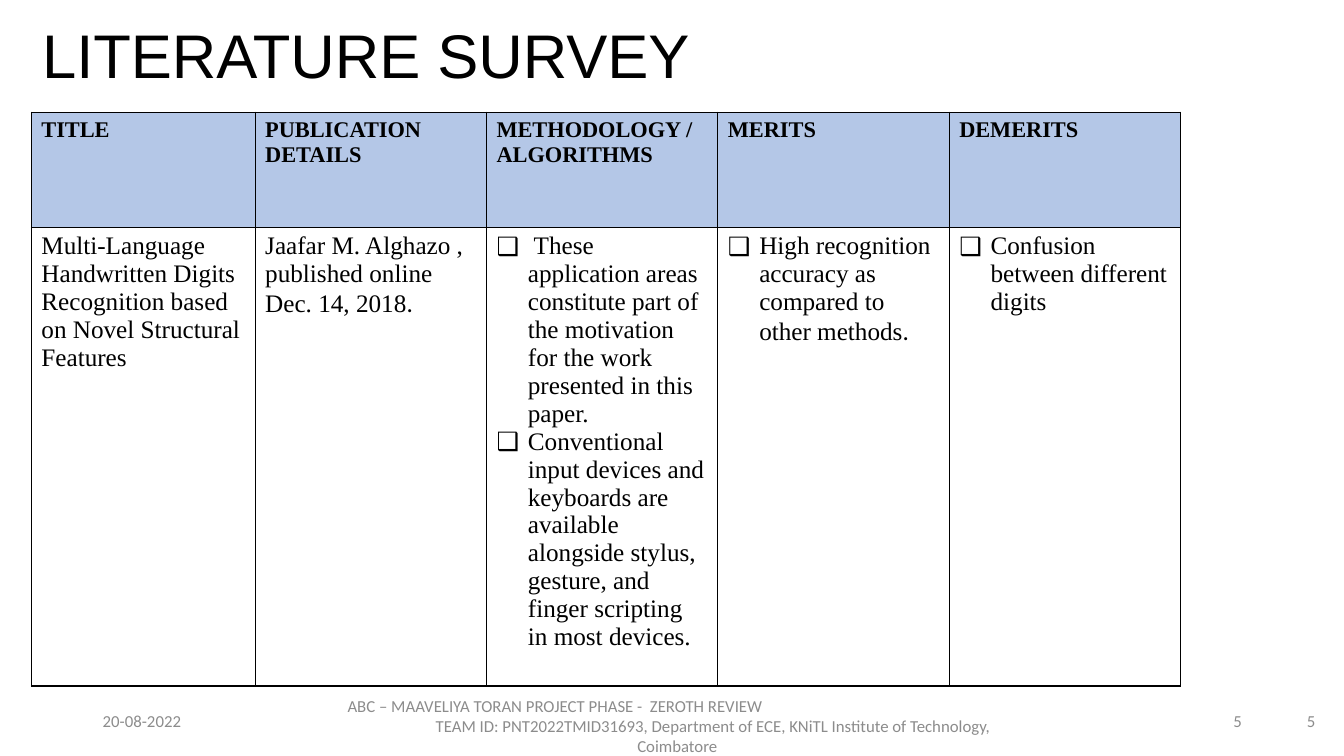
from lxml import etree
from pptx import Presentation
from pptx.dml.color import RGBColor
from pptx.enum.text import MSO_ANCHOR, PP_ALIGN
from pptx.oxml.ns import qn
from pptx.util import Cm, Pt

LEFT, CENTER, RIGHT = PP_ALIGN.LEFT, PP_ALIGN.CENTER, PP_ALIGN.RIGHT
MIDDLE = MSO_ANCHOR.MIDDLE
BLACK, GREY, HEADER_BLUE = "000000", "8C8C8C", "B4C7E7"
SERIF, SANS = "Times New Roman", "Calibri"


def write(paragraph, text, font=SERIF, size=18, color=BLACK, bold=False, align=LEFT, indent=0):
    run = paragraph.add_run()
    run.text = text
    run.font.name = font
    run.font.size = Pt(size)
    run.font.bold = bold
    run.font.color.rgb = RGBColor.from_string(color)
    paragraph.alignment = align
    if indent:
        paragraph._p.get_or_add_pPr().set("marL", str(Cm(indent)))


def add_text_frame(left, top, width, height):
    frame = slide.shapes.add_textbox(Cm(left), Cm(top), Cm(width), Cm(height)).text_frame
    frame.word_wrap = True
    frame.vertical_anchor = MIDDLE
    return frame


prs = Presentation()
prs.slide_width, prs.slide_height = Cm(33.87), Cm(19.05)
slide = prs.slides.add_slide(prs.slide_layouts[6])

# Title
title = add_text_frame(0.38, 0.3, 29.2, 2.34).paragraphs[0]
title.line_spacing = 0.9
write(title, " LITERATURE SURVEY", font="Arial", size=44)

# Survey table: each column has a heading, its entries, and whether they are bulleted
survey = [
    ("TITLE", ["Multi-Language Handwritten Digits Recognition based on Novel Structural Features"], False),
    ("PUBLICATION DETAILS", ["Jaafar M. Alghazo , published online Dec. 14, 2018."], False),
    ("METHODOLOGY /ALGORITHMS", [
        " These application areas constitute part of the motivation for the work presented in this paper.",
        "Conventional input devices and keyboards are available alongside stylus, gesture, "
        "and finger scripting in most devices.",
    ], True),
    ("MERITS", ["High recognition accuracy as compared to other methods."], True),
    ("DEMERITS", ["Confusion between different digits"], True),
]
CALIBRI_STOP_COLUMNS = ("PUBLICATION DETAILS", "MERITS")

table = slide.shapes.add_table(2, len(survey), Cm(0.79), Cm(2.83), Cm(28.96), Cm(14.15)).table
table.first_row = table.horz_banding = False
table.rows[0].height, table.rows[1].height = Cm(2.9), Cm(11.25)

for column, (heading, entries, bulleted) in enumerate(survey):
    table.columns[column].width = Cm(5.64 if column == 0 else 5.83)
    header_cell, body_cell = table.cell(0, column), table.cell(1, column)
    body_cell.margin_bottom = 0
    write(header_cell.text_frame.paragraphs[0], heading, size=16, bold=True)

    for number, entry in enumerate(entries):
        frame = body_cell.text_frame
        paragraph = frame.add_paragraph() if number else frame.paragraphs[0]
        if heading in CALIBRI_STOP_COLUMNS:
            write(paragraph, entry[:-1])
            write(paragraph, ".", font=SANS)
        else:
            write(paragraph, entry)
        if bulleted:
            properties = paragraph._p.get_or_add_pPr()
            properties.set("marL", str(Cm(0.79)))
            properties.set("indent", str(-Cm(0.79)))
            etree.SubElement(properties, qn("a:buFont"), typeface="Arial")
            etree.SubElement(properties, qn("a:buChar"), char="❑")

    for cell in (header_cell, body_cell):
        for side in ("a:lnL", "a:lnR", "a:lnT", "a:lnB"):
            border = etree.SubElement(cell._tc.get_or_add_tcPr(), qn(side), w=str(Pt(1)))
            border_fill = etree.SubElement(border, qn("a:solidFill"))
            etree.SubElement(border_fill, qn("a:srgbClr"), val=BLACK)
    header_cell.fill.solid()
    header_cell.fill.fore_color.rgb = RGBColor.from_string(HEADER_BLUE)
    body_cell.fill.background()

# Footer
footer_lines = [
    ("ABC – MAAVELIYA TORAN PROJECT PHASE -  ZEROTH REVIEW", LEFT, 0.1),
    ("TEAM ID: PNT2022TMID31693, Department of ECE, KNiTL Institute of Technology,", LEFT, 2.32),
    ("Coimbatore", CENTER, 0),
]
footer = add_text_frame(8.41, 17.78, 17.32, 1.02)
for number, (line, align, indent) in enumerate(footer_lines):
    paragraph = footer.add_paragraph() if number else footer.paragraphs[0]
    write(paragraph, line, font=SANS, size=12, color=GREY, align=align, indent=indent)

for text, left, top, width, height, align in [
    ("20-08-2022", 2.34, 17.65, 7.62, 1.02, LEFT),
    ("5", 23.93, 17.65, 7.62, 1.02, RIGHT),
    ("5", 31.85, 17.73, 1.55, 0.86, RIGHT),
]:
    label = add_text_frame(left, top, width, height).paragraphs[0]
    write(label, text, font=SANS, size=12, color=GREY, align=align)

prs.save("out.pptx")
